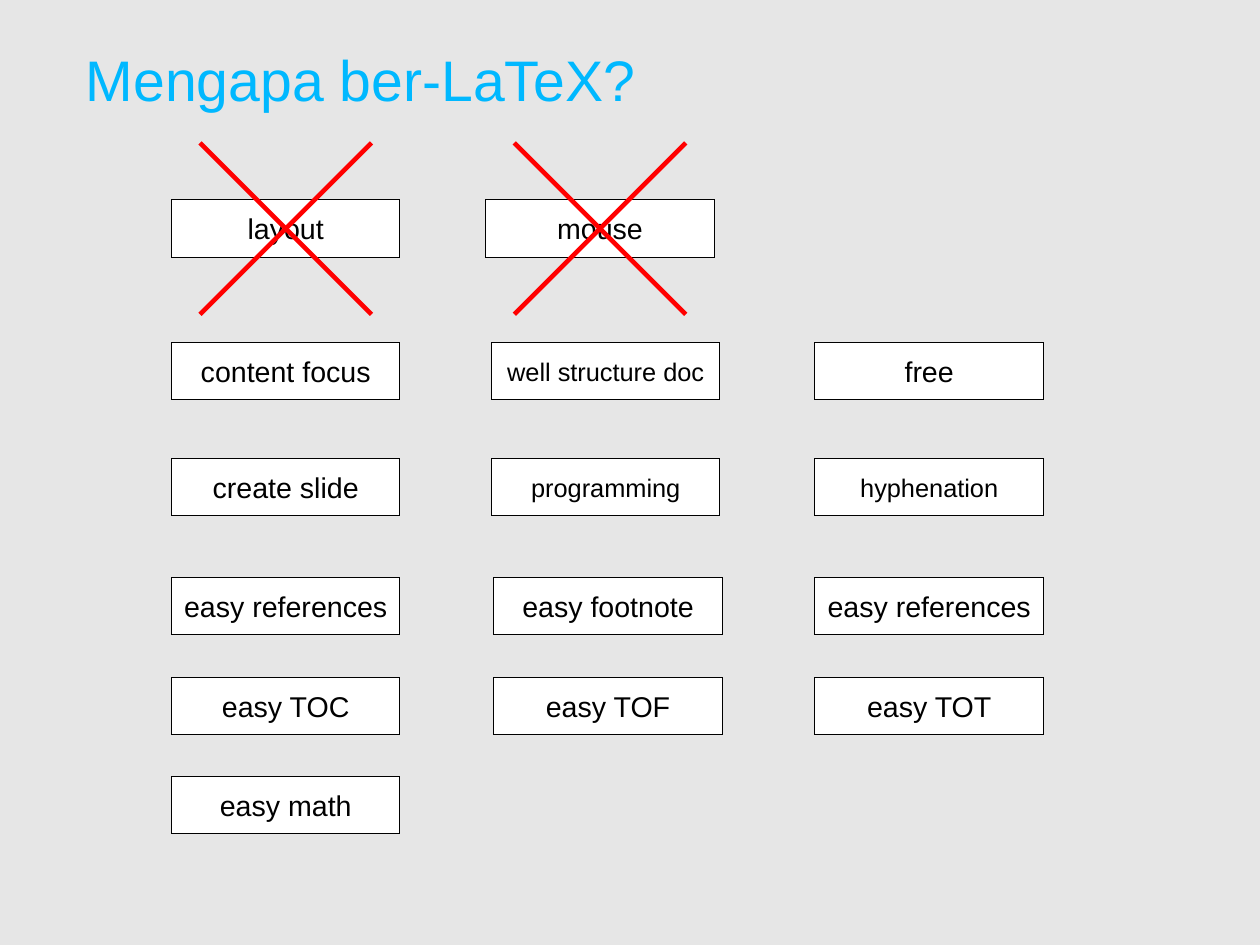
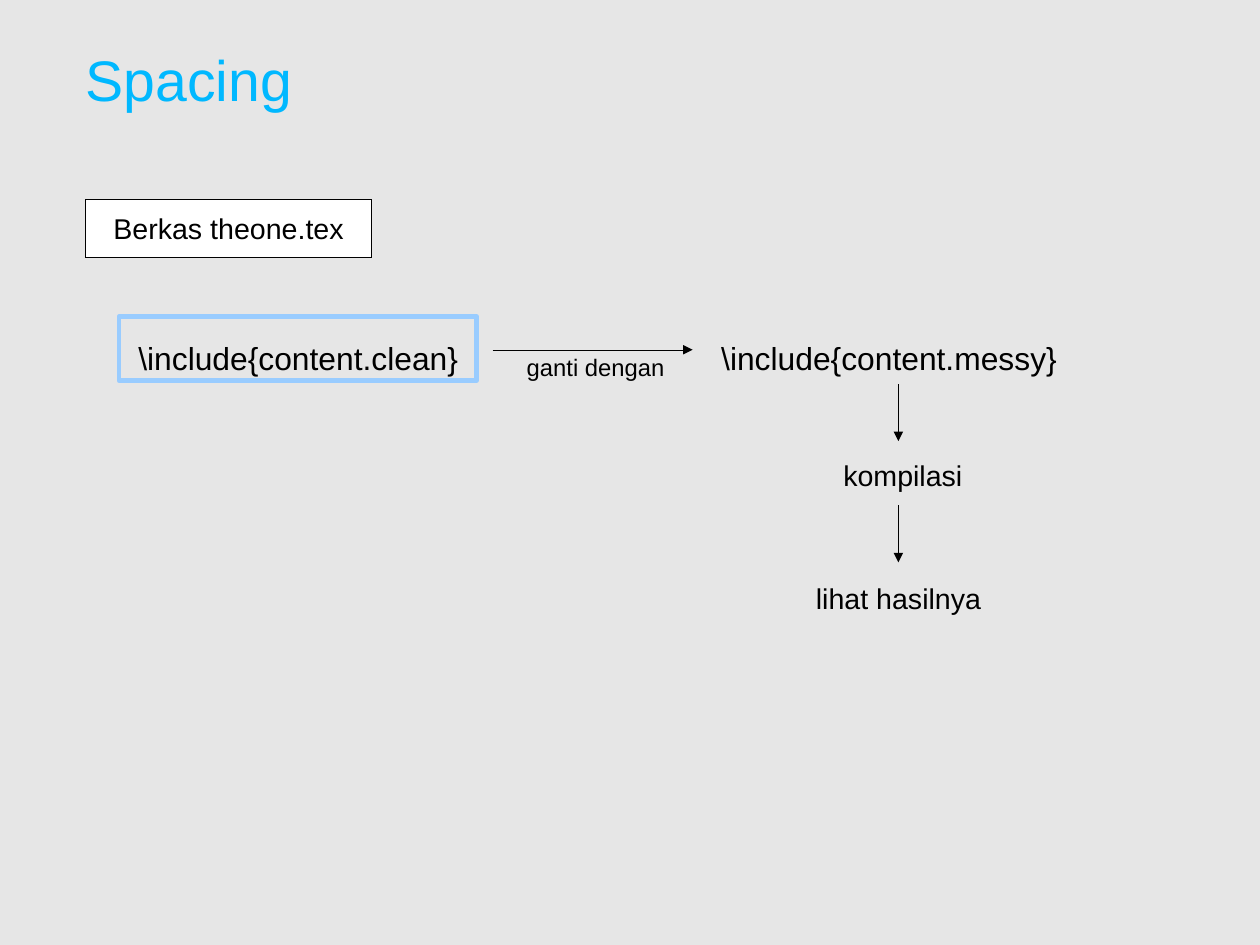
import pptx
import pptx.dml.color
import pptx.enum.shapes
import pptx.enum.text
import pptx.oxml.ns
import pptx.util
from lxml import etree

Inches, Pt, Cm = pptx.util.Inches, pptx.util.Pt, pptx.util.Cm
RGBColor = pptx.dml.color.RGBColor
ANCHOR = pptx.enum.text.MSO_ANCHOR
ALIGN = pptx.enum.text.PP_ALIGN
AUTO_SIZE = pptx.enum.text.MSO_AUTO_SIZE
qn = pptx.oxml.ns.qn

FONT = "Arial"
BLACK = RGBColor(0x00, 0x00, 0x00)
WHITE = RGBColor(0xFF, 0xFF, 0xFF)
GREY = RGBColor(0xE6, 0xE6, 0xE6)
TITLE_BLUE = RGBColor(0x00, 0xB8, 0xFF)
FRAME_BLUE = RGBColor(0x99, 0xCC, 0xFF)
RED = RGBColor(0xFF, 0x00, 0x00)
HAIRLINE, THICK = 0, 2.89

BOX_WIDTH, BOX_HEIGHT = 2, 0.5
CROSS_SIZE = 1.5
LEFT_COLUMN, RIGHT_COLUMN = 1.5, 7.13

REASONS_TITLE = "Mengapa ber-LaTeX?"
# (top, left of the middle column, labels)
CROSSED_ROW = (1.75, 4.25, ["layout", "mouse"])
REASON_ROWS = [
    (3, 4.3, ["content focus", "well structure doc", "free"]),
    (4.01, 4.3, ["create slide", "programming", "hyphenation"]),
    (5.05, 4.32, ["easy references", "easy footnote", "easy references"]),
    (5.93, 4.32, ["easy TOC", "easy TOF", "easy TOT"]),
    (6.79, 4.32, ["easy math"]),
]
SMALL_LABELS = {"well structure doc", "programming", "hyphenation"}

SPACING_TITLE = "Spacing"
FILE_LABEL = "Berkas theone.tex"
OLD_COMMAND = "\\include{content.clean}"
NEW_COMMAND = "\\include{content.messy}"
STEP_LABELS = [  # text, (left, top, width, height), size
    ("ganti dengan", (4.51, 3.04, 1.41, 0.33), 15),
    ("kompilasi", (7.28, 3.96, 1.24, 0.38), 18),
    ("lihat hasilnya", (7.04, 5.03, 1.67, 0.38), 18),
]
STEP_ARROWS = [  # start, end
    ((4.31, 3.06), (6.06, 3.06)),
    ((7.86, 3.36), (7.86, 3.86)),
    ((7.86, 4.42), (7.86, 4.92)),
]


def set_all(target, **values):
    for name, value in values.items():
        setattr(target, name, value)


def place(shape, left, top, width, height):
    set_all(shape, left=Inches(left), top=Inches(top),
            width=Inches(width), height=Inches(height))


def set_margins(frame, horizontal, vertical):
    set_all(frame, margin_left=Inches(horizontal), margin_right=Inches(horizontal),
            margin_top=Inches(vertical), margin_bottom=Inches(vertical))


def set_line(shape, color, width):
    """Colour the outline; write the width even when it is zero."""
    shape.line.color.rgb = color
    outline = shape.element.spPr.find(qn("a:ln"))
    outline.set("w", str(Pt(width)))
    return outline


def write(shape, text, size, **paragraph_format):
    shape.text_frame.text = text
    paragraph = shape.text_frame.paragraphs[0]
    set_all(paragraph, **paragraph_format)
    font = paragraph.runs[0].font
    set_all(font, name=FONT, size=Pt(size))
    font.color.rgb = BLACK


def style_master(master):
    """Set the background and the title style for every slide."""
    master.background.fill.solid()
    master.background.fill.fore_color.rgb = GREY
    title = master.placeholders[0]
    place(title, 0.75, 0.38, 9.72, 0.62)
    set_all(title.text_frame, vertical_anchor=ANCHOR.MIDDLE, auto_size=AUTO_SIZE.NONE)
    set_margins(title.text_frame, 0, 0)
    level = master.element.find(".//" + qn("p:titleStyle") + "/" + qn("a:lvl1pPr"))
    level.set("algn", "l")
    run_style = level.find(qn("a:defRPr"))
    run_style.set("sz", str(Pt(36).centipoints))
    run_style.find(qn("a:latin")).set("typeface", FONT)
    fill = run_style.find(qn("a:solidFill"))
    fill.remove(fill[0])
    etree.SubElement(fill, qn("a:srgbClr"), val=str(TITLE_BLUE))


def add_slide(presentation, layout_name, title):
    layout = presentation.slide_layouts.get_by_name(layout_name)
    slide = presentation.slides.add_slide(layout)
    slide.shapes.title.text = title
    return slide


def add_box(slide, text, left, top, width=BOX_WIDTH, size=18):
    box = slide.shapes.add_shape(
        pptx.enum.shapes.MSO_SHAPE.RECTANGLE,
        Inches(left), Inches(top), Inches(width), Inches(BOX_HEIGHT))
    box.shadow.inherit = False
    box.fill.solid()
    box.fill.fore_color.rgb = WHITE
    set_line(box, BLACK, HAIRLINE)
    box.text_frame.vertical_anchor = ANCHOR.MIDDLE
    write(box, text, size, alignment=ALIGN.CENTER)


def add_text(slide, text, position, size, **paragraph_format):
    label = slide.shapes.add_textbox(*map(Inches, position))
    write(label, text, size, **paragraph_format)
    set_all(label.text_frame, word_wrap=False, auto_size=AUTO_SIZE.SHAPE_TO_FIT_TEXT)
    return label


def add_line(slide, start, end, color, width, arrow=False):
    line = slide.shapes.add_connector(
        pptx.enum.shapes.MSO_CONNECTOR.STRAIGHT, *map(Inches, start + end))
    outline = set_line(line, color, width)
    if arrow:
        etree.SubElement(outline, qn("a:tailEnd"), type="triangle")
    etree.SubElement(line.element.spPr, qn("a:effectLst"))


def add_cross(slide, box_left, box_top):
    """Cross out a box with two diagonals that meet in its centre."""
    left = box_left + (BOX_WIDTH - CROSS_SIZE) / 2
    top = box_top + (BOX_HEIGHT - CROSS_SIZE) / 2
    right, bottom = left + CROSS_SIZE, top + CROSS_SIZE
    add_line(slide, (left, bottom), (right, top), RED, THICK)
    add_line(slide, (left, top), (right, bottom), RED, THICK)


def build_reasons(presentation):
    slide = add_slide(presentation, "Title Only", REASONS_TITLE)
    for row in [CROSSED_ROW] + REASON_ROWS:
        top, middle_column, labels = row
        for left, label in zip((LEFT_COLUMN, middle_column, RIGHT_COLUMN), labels):
            add_box(slide, label, left, top, size=16 if label in SMALL_LABELS else 18)
            if row is CROSSED_ROW:
                add_cross(slide, left, top)


def build_spacing(presentation):
    slide = add_slide(presentation, "Title and Content", SPACING_TITLE)

    old_command = slide.placeholders[1]
    place(old_command, 1.04, 2.77, 3.13, 0.56)
    set_line(old_command, FRAME_BLUE, THICK)
    set_all(old_command.text_frame, vertical_anchor=ANCHOR.MIDDLE,
            auto_size=AUTO_SIZE.NONE)
    set_margins(old_command.text_frame, 0.02, 0.02)
    write(old_command, OLD_COMMAND, 20, line_spacing=1.5, space_before=Pt(0))
    properties = old_command.text_frame.paragraphs[0]._p.get_or_add_pPr()
    properties.set("marL", str(Inches(0.15)))
    properties.set("indent", "0")
    etree.SubElement(properties, qn("a:buNone"))

    add_box(slide, FILE_LABEL, 0.75, 1.75, width=2.5)

    new_command = add_text(slide, NEW_COMMAND, (6.31, 2.7, 3.25, 0.69), 20,
                           line_spacing=1.5)
    set_all(new_command.text_frame, vertical_anchor=ANCHOR.MIDDLE,
            word_wrap=True, auto_size=AUTO_SIZE.NONE)
    set_margins(new_command.text_frame, 0, 0)

    for start, end in STEP_ARROWS:
        add_line(slide, start, end, BLACK, HAIRLINE, arrow=True)
    for text, position, size in STEP_LABELS:
        add_text(slide, text, position, size)


def main():
    presentation = pptx.Presentation()
    set_all(presentation, slide_width=Cm(28), slide_height=Cm(21))
    style_master(presentation.slide_master)
    build_reasons(presentation)
    build_spacing(presentation)
    presentation.save("out.pptx")


if __name__ == "__main__":
    main()
